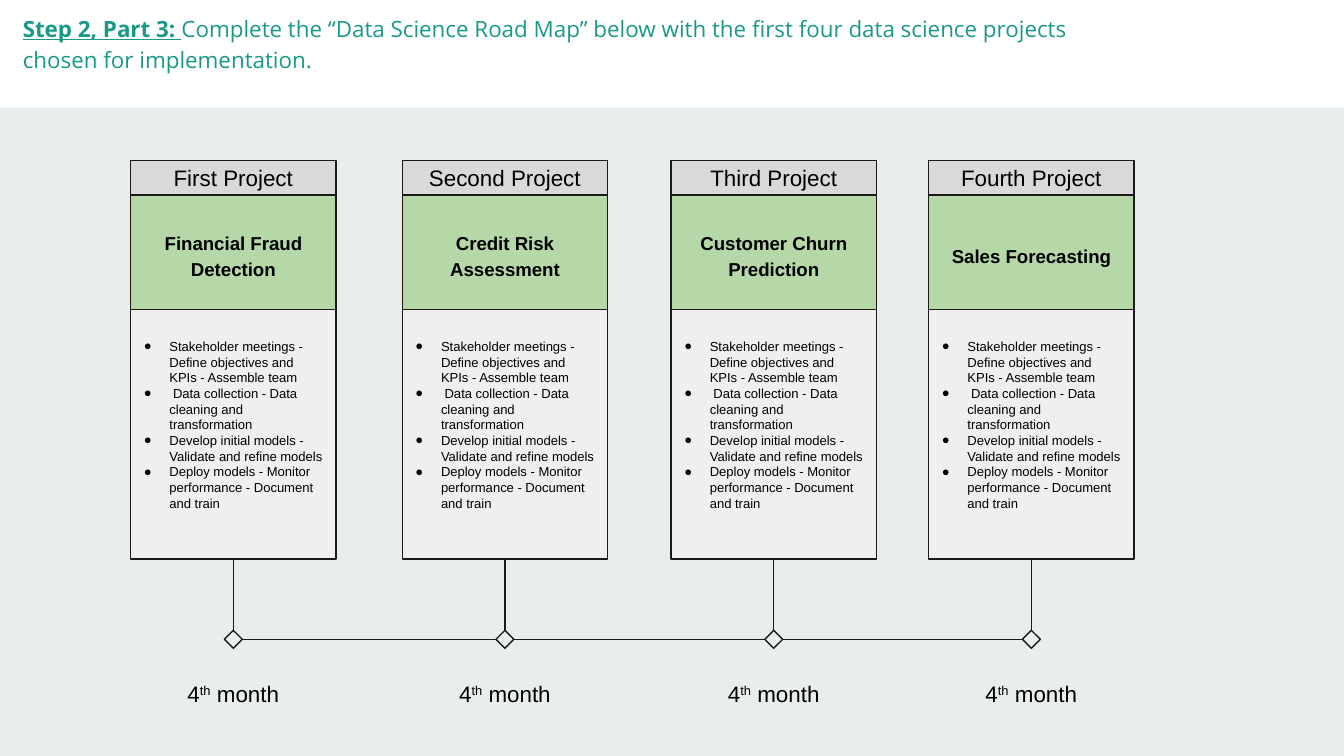
from lxml.etree import SubElement
from pptx import Presentation
from pptx.dml.color import RGBColor
from pptx.enum.shapes import MSO_CONNECTOR, MSO_SHAPE
from pptx.enum.text import MSO_ANCHOR, MSO_AUTO_SIZE, PP_ALIGN
from pptx.oxml.ns import qn
from pptx.util import Pt

TITLE = [
    ("Step 2, Part 3: ", {"bold": True, "underline": True}),
    ("Complete the “Data Science Road Map” below with the first four data science "
     "projects chosen for implementation.", {"bold": False, "underline": False}),
]
PROJECTS = [  # heading, project name, left edge of the card
    ("First Project", "Financial Fraud Detection", 70),
    ("Second Project", "Credit Risk Assessment", 215.5),
    ("Third Project", "Customer Churn Prediction", 359.5),
    ("Fourth Project", "Sales Forecasting", 497.5),
]
STEPS = [
    "Stakeholder meetings - Define objectives and KPIs - Assemble team",
    " Data collection - Data cleaning and transformation",
    "Develop initial models - Validate and refine models",
    "Deploy models - Monitor performance - Document and train",
]
MONTH = [("4", None), ("th", "30000"), (" month", None)]

BACKGROUND, WHITE, BLACK, LINE, TEAL = "E9EDEE", "FFFFFF", "000000", "1A1A1A", "1A9988"
HEADING_FILL, NAME_FILL, STEPS_FILL = "D9D9D9", "B6D7A8", "EFEFEF"
INSET = 7.2
CARD_WIDTH = 110
HEADING_TOP, NAME_TOP, STEPS_TOP, CARD_BOTTOM = 86, 104.5, 165.8, 299.5
TIMELINE_Y, DIAMOND_SIZE = 342.5, 9.6
MONTH_TOP, MONTH_WIDTH, MONTH_HEIGHT = 357, 134, 26.6
BULLET_INDENT = 13.7


def color(hex_string):
    return RGBColor.from_string(hex_string)


def format_run(run, size, name="Arial", hex_color=BLACK, **values):
    for attribute, value in {"size": Pt(size), "name": name, **values}.items():
        setattr(run.font, attribute, value)
    run.font.color.rgb = color(hex_color)


def format_frame(frame, anchor=MSO_ANCHOR.TOP, top_inset=INSET):
    values = {
        "word_wrap": True, "auto_size": MSO_AUTO_SIZE.NONE, "vertical_anchor": anchor,
        "margin_left": Pt(INSET), "margin_right": Pt(INSET),
        "margin_top": Pt(top_inset), "margin_bottom": Pt(INSET),
    }
    for attribute, value in values.items():
        setattr(frame, attribute, value)


def add_box(shapes, kind, left, top, width, height, fill, outlined=True):
    box = shapes.add_shape(kind, Pt(left), Pt(top), Pt(width), Pt(height))
    box.shadow.inherit = False
    box.fill.solid()
    box.fill.fore_color.rgb = color(fill)
    if outlined:
        box.line.color.rgb = color(LINE)
        box.line.width = Pt(0.75)
    else:
        box.line.fill.background()
    return box


def add_line(shapes, x1, y1, x2, y2):
    line = shapes.add_connector(MSO_CONNECTOR.STRAIGHT, Pt(x1), Pt(y1), Pt(x2), Pt(y2))
    line.line.color.rgb = color(LINE)
    line.line.width = Pt(0.75)
    SubElement(line.element.spPr, qn("a:effectLst"))


def add_label(shapes, left, top, bottom, fill, text, size, bold=False, spacing=1.0):
    """Add one card section with a centred text."""
    box = add_box(shapes, MSO_SHAPE.RECTANGLE, left, top, CARD_WIDTH, bottom - top, fill)
    format_frame(box.text_frame, MSO_ANCHOR.MIDDLE)
    paragraph = box.text_frame.paragraphs[0]
    paragraph.alignment = PP_ALIGN.CENTER
    paragraph.line_spacing = spacing
    run = paragraph.add_run()
    run.text = text
    format_run(run, size, bold=bold)


def add_bullet(paragraph):
    properties = paragraph._p.get_or_add_pPr()
    properties.set("marL", str(Pt(BULLET_INDENT)))
    properties.set("indent", str(-Pt(BULLET_INDENT)))
    bullet_color = SubElement(properties, qn("a:buClr"))
    SubElement(bullet_color, qn("a:srgbClr"), val=BLACK)
    SubElement(properties, qn("a:buFont"), typeface="Arial")
    SubElement(properties, qn("a:buChar"), char="●")


def add_steps(shapes, left):
    box = add_box(shapes, MSO_SHAPE.RECTANGLE, left, STEPS_TOP, CARD_WIDTH,
                  CARD_BOTTOM - STEPS_TOP, STEPS_FILL)
    frame = box.text_frame
    format_frame(frame, top_inset=15.5)
    for index, step in enumerate(STEPS):
        paragraph = frame.add_paragraph() if index else frame.paragraphs[0]
        paragraph.alignment = PP_ALIGN.LEFT
        add_bullet(paragraph)
        run = paragraph.add_run()
        run.text = step
        format_run(run, 7)


def add_month(shapes, center):
    box = shapes.add_textbox(Pt(center - MONTH_WIDTH / 2), Pt(MONTH_TOP),
                             Pt(MONTH_WIDTH), Pt(MONTH_HEIGHT))
    format_frame(box.text_frame)
    paragraph = box.text_frame.paragraphs[0]
    paragraph.alignment = PP_ALIGN.CENTER
    for text, baseline in MONTH:
        run = paragraph.add_run()
        run.text = text
        format_run(run, 12)
        if baseline:
            run._r.get_or_add_rPr().set("baseline", baseline)


def add_project(slide, heading, name, left):
    center = left + CARD_WIDTH / 2
    half = DIAMOND_SIZE / 2
    card = slide.shapes.add_group_shape().shapes
    add_box(card, MSO_SHAPE.DIAMOND, center - half, TIMELINE_Y - half,
            DIAMOND_SIZE, DIAMOND_SIZE, BACKGROUND)
    add_label(card, left, NAME_TOP, STEPS_TOP + 2, NAME_FILL, name, 10, True, 1.15)
    add_label(card, left, HEADING_TOP, NAME_TOP, HEADING_FILL, heading, 12)
    add_steps(card, left)
    add_line(slide.shapes, center, CARD_BOTTOM, center, TIMELINE_Y - half)
    add_month(slide.shapes, center)


def add_title(slide):
    title = slide.shapes.title
    title.left, title.top, title.width, title.height = Pt(5), Pt(-1.4), Pt(608), Pt(26.6)
    format_frame(title.text_frame)
    paragraph = title.text_frame.paragraphs[0]
    paragraph.alignment = PP_ALIGN.LEFT
    paragraph.line_spacing = 1.15
    for text, values in TITLE:
        run = paragraph.add_run()
        run.text = text
        format_run(run, 12, "Open Sans", TEAL, **values)
    band = add_box(slide.shapes, MSO_SHAPE.RECTANGLE, 0, 0, 720, 57.6, WHITE, False)
    title.element.addprevious(band.element)


def main():
    presentation = Presentation()
    presentation.slide_width, presentation.slide_height = Pt(720), Pt(405)
    slide = presentation.slides.add_slide(presentation.slide_layouts[5])
    slide.background.fill.solid()
    slide.background.fill.fore_color.rgb = color(BACKGROUND)
    add_title(slide)
    first, last = (PROJECTS[i][2] + CARD_WIDTH / 2 for i in (0, -1))
    add_line(slide.shapes, first, TIMELINE_Y, last, TIMELINE_Y)
    for heading, name, left in PROJECTS:
        add_project(slide, heading, name, left)
    presentation.save("out.pptx")


if __name__ == "__main__":
    main()
